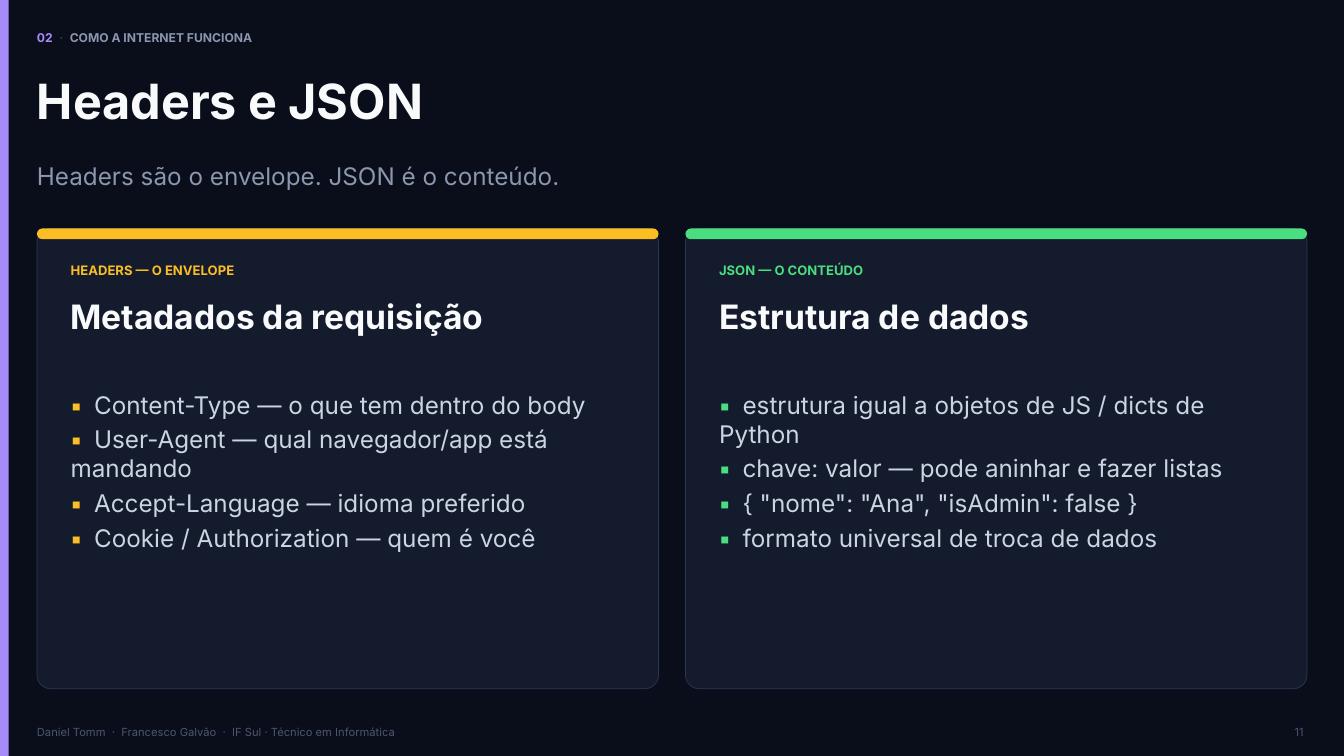
from lxml import etree
from pptx import Presentation
from pptx.dml.color import RGBColor
from pptx.enum.shapes import MSO_SHAPE
from pptx.enum.text import MSO_AUTO_SIZE, PP_ALIGN
from pptx.oxml.ns import qn
from pptx.util import Inches, Pt

RECT, ROUNDED = MSO_SHAPE.RECTANGLE, MSO_SHAPE.ROUNDED_RECTANGLE
LEFT, RIGHT = PP_ALIGN.LEFT, PP_ALIGN.RIGHT
GROW = MSO_AUTO_SIZE.SHAPE_TO_FIT_TEXT

# Content
SECTION_NUMBER, SECTION = "02", "COMO A INTERNET FUNCIONA"
TITLE = "Headers e JSON"
SUBTITLE = "Headers são o envelope. JSON é o conteúdo."
FOOTER = "Daniel Tomm  ·  Francesco Galvão  ·  IF Sul · Técnico em Informática"
PAGE = "11"
CARDS = [
    {
        "accent": "FBBF24",
        "label": "HEADERS — O ENVELOPE",
        "heading": "Metadados da requisição",
        "items": [
            "Content-Type — o que tem dentro do body",
            "User-Agent — qual navegador/app está mandando",
            "Accept-Language — idioma preferido",
            "Cookie / Authorization — quem é você",
        ],
    },
    {
        "accent": "4ADE80",
        "label": "JSON — O CONTEÚDO",
        "heading": "Estrutura de dados",
        "items": [
            "estrutura igual a objetos de JS / dicts de Python",
            "chave: valor — pode aninhar e fazer listas",
            '{ "nome": "Ana", "isAdmin": false }',
            "formato universal de troca de dados",
        ],
    },
]

# Style
FONT = "Inter"
BACKGROUND, PURPLE, WHITE = "0A0E1A", "A78BFA", "F8FAFC"
MUTED, FAINT, BODY = "8B97AE", "4A5670", "CBD5E1"
CARD_FILL, CARD_LINE = "141B2D", "2A3755"

# Layout in inches
SLIDE_W, SLIDE_H = 20, 11.25
MARGIN, GAP, PADDING = 0.55, 0.4, 0.5
CONTENT_W = SLIDE_W - 2 * MARGIN
CARD_W = (CONTENT_W - GAP * (len(CARDS) - 1)) / len(CARDS)
CARD_TOP, CARD_H, BAR_H = 3.4, 6.85, 0.16
ITEM_TAB = 0.35


def rgb(color):
    return RGBColor.from_string(color)


def add_block(slide, kind, box, fill, line=None, rounding=None):
    block = slide.shapes.add_shape(kind, *map(Inches, box))
    block.shadow.inherit = False
    block.fill.solid()
    block.fill.fore_color.rgb = rgb(fill)
    if line:
        block.line.color.rgb = rgb(line)
        block.line.width = Pt(0.75)
    else:
        block.line.fill.background()
    if rounding is not None:
        block.adjustments[0] = rounding


def add_tab_stop(paragraph, position):
    tabs = etree.SubElement(paragraph._p.get_or_add_pPr(), qn("a:tabLst"))
    etree.SubElement(tabs, qn("a:tab"), pos=str(Inches(position)), algn="l")


def add_text(slide, box, paragraphs, size, align=LEFT, after=None, tab=None):
    """Each paragraph is a list of (text, colour, bold) runs."""
    frame = slide.shapes.add_textbox(*map(Inches, box)).text_frame
    frame_format = {"word_wrap": True, "auto_size": GROW, "margin_left": 0,
                    "margin_top": 0, "margin_right": 0, "margin_bottom": 0}
    for name, value in frame_format.items():
        setattr(frame, name, value)
    for i, runs in enumerate(paragraphs):
        paragraph = frame.add_paragraph() if i else frame.paragraphs[0]
        if tab:
            add_tab_stop(paragraph, tab)
        paragraph.alignment = align
        if after:
            paragraph.space_after = Pt(after)
        for text, color, bold in runs:
            run = paragraph.add_run()
            run.text = text
            for name, value in {"name": FONT, "size": Pt(size), "bold": bold}.items():
                setattr(run.font, name, value)
            run.font.color.rgb = rgb(color)


def add_card(slide, left, card):
    accent = card["accent"]
    add_block(slide, ROUNDED, (left, CARD_TOP, CARD_W, CARD_H), CARD_FILL, CARD_LINE, 0.03)
    add_block(slide, ROUNDED, (left, CARD_TOP, CARD_W, BAR_H), accent, rounding=0.5)

    text_left, text_w = left + PADDING, CARD_W - 2 * PADDING
    items = [[("▪\t", accent, True), (item, BODY, False)] for item in card["items"]]
    add_text(slide, (text_left, CARD_TOP + 0.5, text_w, 0.4),
             [[(card["label"], accent, True)]], 14)
    add_text(slide, (text_left, CARD_TOP + 1, text_w, 1),
             [[(card["heading"], WHITE, True)]], 36)
    add_text(slide, (text_left, CARD_TOP + 2.4, text_w, 4.25),
             items, 26, after=6, tab=ITEM_TAB)


def main():
    deck = Presentation()
    deck.slide_width, deck.slide_height = Inches(SLIDE_W), Inches(SLIDE_H)
    slide = deck.slides.add_slide(deck.slide_layouts[6])
    slide.background.fill.solid()
    slide.background.fill.fore_color.rgb = rgb(BACKGROUND)

    # Side stripe, section line and footer
    add_block(slide, RECT, (0, 0, 0.13, SLIDE_H), PURPLE)
    section = [(SECTION_NUMBER, PURPLE, True), ("  ·  ", FAINT, False), (SECTION, MUTED, True)]
    add_text(slide, (MARGIN, 0.45, 15, 0.4), [section], 13)
    add_text(slide, (MARGIN, 10.8, 12, 0.35), [[(FOOTER, FAINT, False)]], 12)
    add_text(slide, (18.8, 10.8, 0.6, 0.35), [[(PAGE, FAINT, False)]], 12, RIGHT)

    # Title and subtitle
    add_text(slide, (MARGIN, 1.05, CONTENT_W, 1.6), [[(TITLE, WHITE, True)]], 52)
    add_text(slide, (MARGIN, 2.4, CONTENT_W, 0.7), [[(SUBTITLE, MUTED, False)]], 26)

    # Cards side by side
    for i, card in enumerate(CARDS):
        add_card(slide, MARGIN + i * (CARD_W + GAP), card)

    deck.save("out.pptx")


if __name__ == "__main__":
    main()
